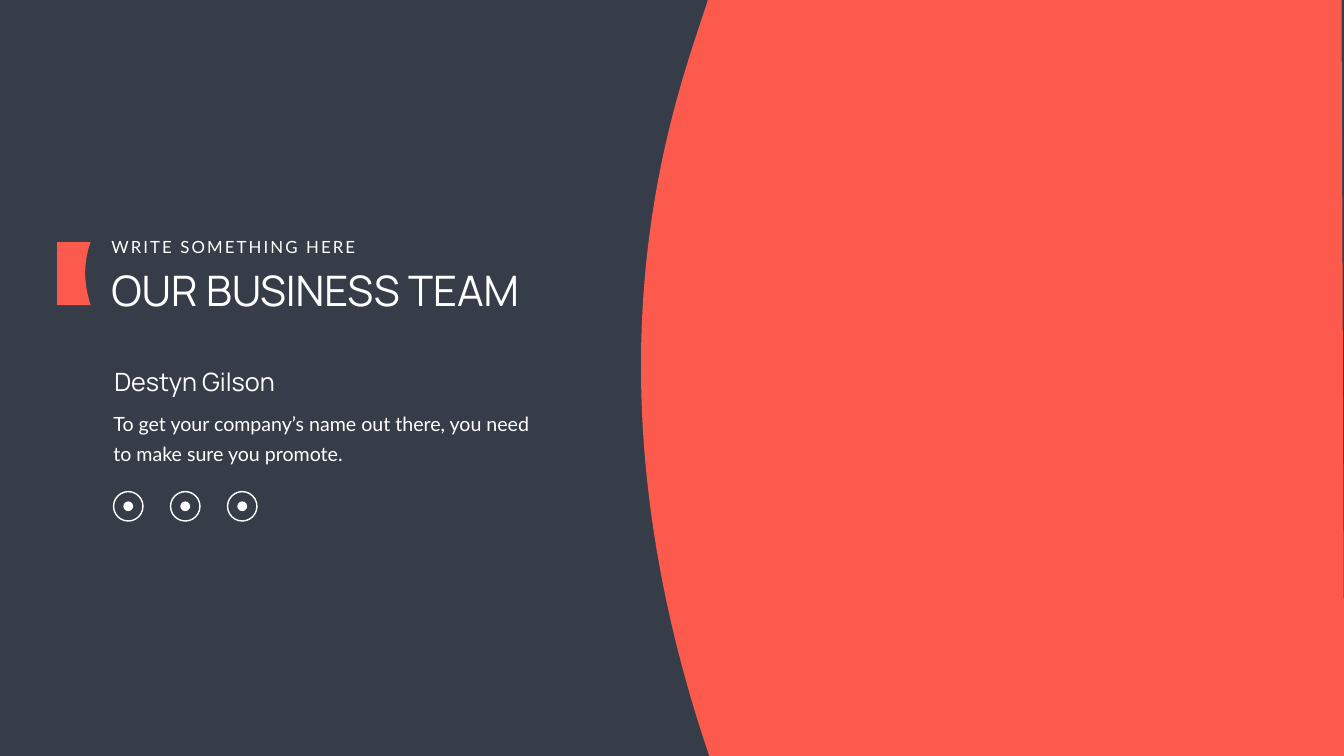
import pptx
import pptx.util
import pptx.dml.color
import pptx.enum.shapes
import pptx.enum.text

Pt = pptx.util.Pt
HUES = {"night": "363D48", "coral": "FC5A4C", "white": "FFFFFF"}


def hue(name):
    """Return the named colour."""
    return pptx.dml.color.RGBColor.from_string(HUES[name])


def curve(ends, steps=60):
    """Return points along a cubic curve given by four points."""
    marks = []
    for step in range(steps + 1):
        t = step / steps
        loads = ((1 - t) ** 3, 3 * t * (1 - t) ** 2, 3 * t * t * (1 - t), t ** 3)
        marks.append(tuple(sum(w * p[axis] for w, p in zip(loads, ends)) for axis in (0, 1)))
    return marks


def patch(slide, left, top, points):
    """Fill the outline through points measured from left and top."""
    first, *rest = [(Pt(left + x), Pt(top + y)) for x, y in points]
    pen = slide.shapes.build_freeform(*first, scale=1.0)
    pen.add_line_segments(rest, close=True)
    shape = pen.convert_to_shape()
    shape.shadow.inherit = False
    shape.fill.solid()
    shape.fill.fore_color.rgb = hue("coral")
    shape.line.fill.background()


def label(slide, box, text, face, size, wrap=True):
    """Write one white paragraph in the box and return its frame."""
    frame = slide.shapes.add_textbox(*map(Pt, box)).text_frame
    frame.word_wrap = wrap
    frame.auto_size = pptx.enum.text.MSO_AUTO_SIZE.SHAPE_TO_FIT_TEXT
    para = frame.paragraphs[0]
    para.text = text
    para.font.name = face
    para.font.size = Pt(size)
    para.font.color.rgb = hue("white")
    return frame


def panel(slide, left, top, width, height):
    """Draw the large panel with its bowed left edge."""
    edge = curve([(97, height), (-99.5, 503), (55, 127), (95, 0)])
    patch(slide, left, top, [(width - 4, 0), (width, height)] + edge)


def header(slide, left, top, width, height):
    """Draw the curved tag, the small heading and the title."""
    label(slide, (left + 70.5, top + 39.6, width - 70.5, 80), "OUR BUSINESS TEAM", "Manrope", 60)
    small = label(slide, (left + 70.5, top, 370, 36), "WRITE SOMETHING HERE", "Lato", 24, False)
    small.paragraphs[0].runs[0]._r.get_or_add_rPr().set("spc", "300")
    tall = height - 11
    edge = curve([(48, 0), (39.6, 24), (36, 52), (48, tall)])
    patch(slide, left, top + 11, [(0, 0)] + edge + [(0, tall)])


def disc(slide, left, top, size):
    """Add a bare circle and return it."""
    kind = pptx.enum.shapes.MSO_SHAPE.OVAL
    shape = slide.shapes.add_shape(kind, Pt(left), Pt(top), Pt(size), Pt(size))
    shape.shadow.inherit = False
    return shape


def badges(slide, left, top, size, gap):
    """Draw a row of three rings, each around a plain dot."""
    dot = 14
    for index in range(3):
        x = left + index * gap
        ring = disc(slide, x, top, size)
        ring.fill.background()
        ring.line.color.rgb = hue("white")
        ring.line.width = Pt(2)
        core = disc(slide, x + (size - dot) / 2, top + (size - dot) / 2, dot)
        core.fill.solid()
        core.fill.fore_color.rgb = hue("white")
        core.line.fill.background()


def member(slide, left, top, width, height):
    """Write the name and blurb, with the row of badges below."""
    badges(slide, left + 17.5, top + 182.5, 42, 81.4)
    blurb = label(slide, (left, top + 50.4, width, height),
                  "To get your company’s name out there, you need to make sure you promote.", "Lato", 28)
    blurb.margin_left = blurb.margin_right = Pt(17.28)
    blurb.margin_top = blurb.margin_bottom = Pt(8.64)
    blurb.paragraphs[0].line_spacing = Pt(43)
    label(slide, (left + 11.5, top, 268.5, 51), "Destyn Gilson", "Manrope", 36, False)


def main():
    """Build and save the team slide."""
    deck = pptx.Presentation()
    deck.slide_width, deck.slide_height = Pt(1919.52), Pt(1080)
    slide = deck.slides.add_slide(deck.slide_layouts[6])
    slide.background.fill.solid()
    slide.background.fill.fore_color.rgb = hue("night")
    panel(slide, 916, 0, 1004, 1080)
    header(slide, 81.4, 334.8, 734.4, 101)
    member(slide, 144.7, 519.8, 642, 100)
    deck.save("out.pptx")


if __name__ == "__main__":
    main()
